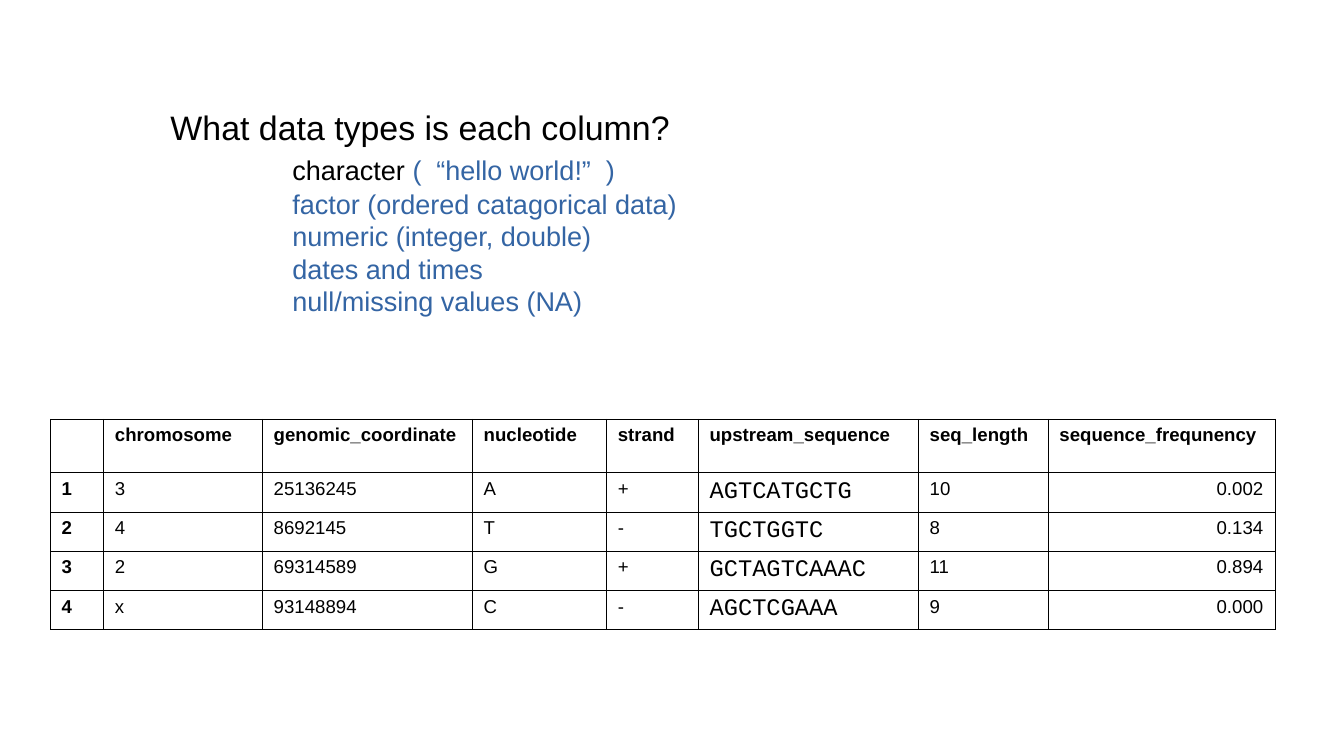
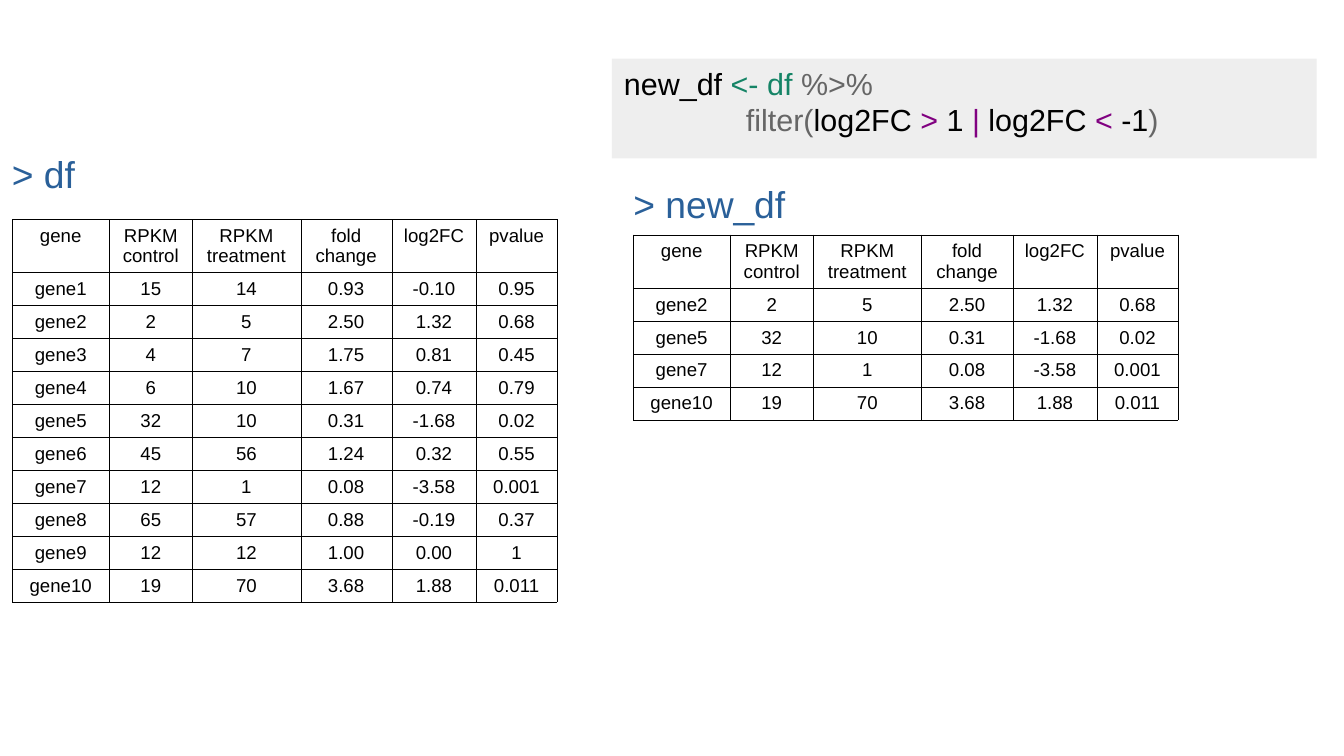
from lxml import etree
from pptx import Presentation
from pptx.dml.color import RGBColor
from pptx.enum.shapes import MSO_SHAPE
from pptx.enum.text import MSO_ANCHOR, PP_ALIGN
from pptx.oxml.ns import qn
from pptx.util import Pt

RECTANGLE = MSO_SHAPE.RECTANGLE
TOP = MSO_ANCHOR.TOP
LEFT, CENTER, RIGHT = PP_ALIGN.LEFT, PP_ALIGN.CENTER, PP_ALIGN.RIGHT

THEME = {
    "black": "000000", "white": "FFFFFF", "blue": "3465A4", "prompt": "2A6099",
    "band": "EEEEEE", "green": "158466", "gray": "666666", "purple": "800080",
    "sans": "Arial", "mono": "Courier New",
    "prompt_size": 22, "question_size": 20, "code_size": 18,
    "list_size": 16, "sequence_size": 14, "cell_size": 11,
    "border": 0.06, "indent": 72,
    "cell_margins": {
        "margin_left": 6.8, "margin_right": 6.8,
        "margin_top": 3.6, "margin_bottom": 1.4,
    },
}


def write(frame, paragraphs):
    frame.word_wrap = True
    frame.vertical_anchor = TOP
    for index, (layout, size, pieces) in enumerate(paragraphs):
        paragraph = frame.paragraphs[0] if index == 0 else frame.add_paragraph()
        for key, value in {"alignment": LEFT, **layout}.items():
            if key == "indent":
                paragraph._p.get_or_add_pPr().set("marL", str(Pt(value)))
            else:
                setattr(paragraph, key, value)
        for text, color, *extra in pieces:
            run = paragraph.add_run()
            run.text = text
            run.font.color.rgb = RGBColor.from_string(THEME[color])
            look = {"name": THEME["sans"], "size": Pt(THEME[size]), "bold": False}
            for style in extra:
                look.update(style)
            for key, value in look.items():
                setattr(run.font, key, value)


def add_grid(slide, left, top, widths, heights, rows, cell_format):
    table = slide.shapes.add_table(
        len(rows), len(widths), Pt(left), Pt(top), Pt(sum(widths)), Pt(sum(heights))
    ).table
    table.first_row = table.horz_banding = False
    for column, width in zip(table.columns, widths):
        column.width = Pt(width)
    for r, (row, height) in enumerate(zip(rows, heights)):
        table.rows[r].height = Pt(height)
        for c, text in enumerate(row):
            cell = table.cell(r, c)
            alignment, size, style = cell_format(r, c)
            pieces = [(text, "black", style)] if text else []
            write(cell.text_frame, [({"alignment": alignment}, size, pieces)])
            for key, value in THEME["cell_margins"].items():
                setattr(cell, key, Pt(value))
            properties = cell._tc.get_or_add_tcPr()
            for side in ("a:lnL", "a:lnR", "a:lnT", "a:lnB"):
                line = etree.SubElement(properties, qn(side), w=str(Pt(THEME["border"])))
                ink = etree.SubElement(line, qn("a:solidFill"))
                etree.SubElement(ink, qn("a:srgbClr"), val=THEME["black"])
            cell.fill.solid()
            cell.fill.fore_color.rgb = RGBColor.from_string(THEME["white"])


deck = Presentation()
deck.slide_width, deck.slide_height = Pt(793.7), Pt(446.4)
types_slide, filter_slide = [
    deck.slides.add_slide(deck.slide_layouts[6]) for _ in range(2)
]

sequence_rows = [
    ("", "chromosome", "genomic_coordinate", "nucleotide", "strand",
     "upstream_sequence", "seq_length", "sequence_frequnency"),
    ("1", "3", "25136245", "A", "+", "AGTCATGCTG", "10", "0.002"),
    ("2", "4", "8692145", "T", "-", "TGCTGGTC", "8", "0.134"),
    ("3", "2", "69314589", "G", "+", "GCTAGTCAAAC", "11", "0.894"),
    ("4", "x", "93148894", "C", "-", "AGCTCGAAA", "9", "0.000"),
]
SEQUENCE_COLUMN, FREQUENCY_COLUMN = 5, 7


def sequence_format(r, c):
    if r == 0 or c == 0:
        return LEFT, "cell_size", {"bold": True}
    if c == SEQUENCE_COLUMN:
        return LEFT, "sequence_size", {"name": THEME["mono"]}
    return (RIGHT if c == FREQUENCY_COLUMN else LEFT), "cell_size", {}


add_grid(
    types_slide, 29.6, 247.4,
    [31.5, 93.8, 124, 79.2, 54.2, 130, 76.6, 134],
    [31.5] + [23.2] * 4, sequence_rows, sequence_format,
)

indented = {"indent": THEME["indent"]}
first_type = {**indented, "space_before": Pt(3.6), "space_after": Pt(0.8)}
other_types = [
    "factor (ordered catagorical data)",
    "numeric (integer, double)",
    "dates and times",
    "null/missing values (NA)",
]
question = types_slide.shapes.add_textbox(Pt(93.6), Pt(59.4), Pt(518.4), Pt(141))
write(question.text_frame, [
    ({}, "question_size", [("What data types is each column?", "black")]),
    (first_type, "list_size",
     [("character ", "black"), ("(  “hello world!”  )", "blue")]),
    *[(indented, "list_size", [(name, "blue")]) for name in other_types],
])

code_band = filter_slide.shapes.add_shape(
    RECTANGLE, Pt(361.4), Pt(34.6), Pt(416.2), Pt(59)
)
code_band.shadow.inherit = False
code_band.fill.solid()
code_band.fill.fore_color.rgb = RGBColor.from_string(THEME["band"])
code_band.line.fill.background()
write(code_band.text_frame, [
    ({}, "code_size",
     [("new_df", "black"), (" <- df ", "green"), ("%>%", "gray")]),
    (indented, "code_size", [
        ("filter(", "gray"), ("log2FC ", "black"), (">", "purple"),
        (" 1 ", "black"), ("|", "purple"), (" log2FC ", "black"),
        ("<", "purple"), (" -1", "black"), (")", "gray"),
    ]),
])

gene_header = ("gene", "RPKM control", "RPKM treatment", "fold change", "log2FC", "pvalue")
genes = [
    ("gene1", "15", "14", "0.93", "-0.10", "0.95"),
    ("gene2", "2", "5", "2.50", "1.32", "0.68"),
    ("gene3", "4", "7", "1.75", "0.81", "0.45"),
    ("gene4", "6", "10", "1.67", "0.74", "0.79"),
    ("gene5", "32", "10", "0.31", "-1.68", "0.02"),
    ("gene6", "45", "56", "1.24", "0.32", "0.55"),
    ("gene7", "12", "1", "0.08", "-3.58", "0.001"),
    ("gene8", "65", "57", "0.88", "-0.19", "0.37"),
    ("gene9", "12", "12", "1.00", "0.00", "1"),
    ("gene10", "19", "70", "3.68", "1.88", "0.011"),
]
changed_genes = [gene for gene in genes if abs(float(gene[4])) > 1]

for prompt, prompt_left, prompt_top, grid_left, grid_top, kept in [
    ("> df", 0, 85.7, 7.2, 129.4, genes),
    ("> new_df", 367, 103.7, 373.9, 138.6, changed_genes),
]:
    label = filter_slide.shapes.add_textbox(
        Pt(prompt_left), Pt(prompt_top), Pt(117.4), Pt(31.7)
    )
    write(label.text_frame, [({}, "prompt_size", [(prompt, "prompt")])])
    add_grid(
        filter_slide, grid_left, grid_top,
        [57.4, 49, 64, 53.8, 50, 47.6],
        [31.5] + [19.5] * len(kept), [gene_header, *kept],
        lambda r, c: (CENTER, "cell_size", {}),
    )

deck.save("out.pptx")
